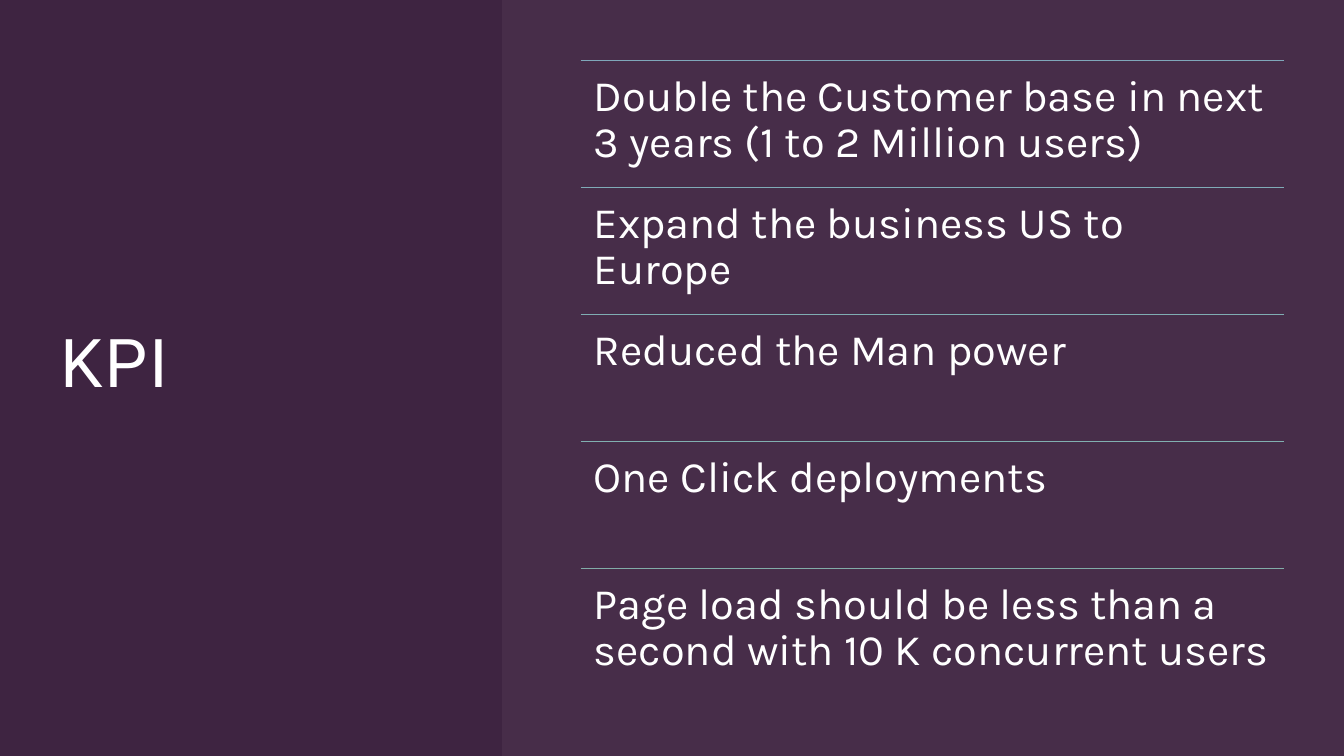
from lxml import etree
from pptx import Presentation
from pptx.dml.color import RGBColor
from pptx.enum.shapes import MSO_CONNECTOR, MSO_SHAPE
from pptx.enum.text import MSO_ANCHOR, MSO_AUTO_SIZE, PP_ALIGN
from pptx.oxml.ns import qn
from pptx.util import Inches, Pt

STRAIGHT = MSO_CONNECTOR.STRAIGHT
RECTANGLE = MSO_SHAPE.RECTANGLE
LEFT = PP_ALIGN.LEFT
MIDDLE, TOP = MSO_ANCHOR.MIDDLE, MSO_ANCHOR.TOP
NO_AUTOFIT = MSO_AUTO_SIZE.NONE

PLUM = "3E2441"
PALE = "EFE5F0"
WHITE = "FFFFFF"

SLIDE_W, SLIDE_H = Inches(13.33), Inches(7.5)
MARGIN = Inches(0.6)
PANEL_LEFT = Inches(4.98)
LIST_LEFT, LIST_W = Inches(5.76), Inches(6.97)
ROW_H = Inches(1.26)

GOALS = [
    ("Double the Customer base in next 3 years (1 to 2 Million users)", "7FA7BA"),
    ("Expand the business US to Europe", "80ABB7"),
    ("Reduced the Man power", "80ADB3"),
    ("One Click deployments", "81AFB0"),
    ("Page load should be less than a second with 10 K concurrent users", "82ACA8"),
]


def rgb(value):
    return RGBColor.from_string(value)


def set_text(frame, text, font, size, inset, anchor):
    frame.text = text
    frame.word_wrap = True
    frame.auto_size = NO_AUTOFIT
    frame.vertical_anchor = anchor
    frame.margin_left = frame.margin_right = inset
    frame.margin_top = frame.margin_bottom = inset
    paragraph = frame.paragraphs[0]
    paragraph.alignment = LEFT
    paragraph.line_spacing = 0.9
    run = paragraph.runs[0]
    run.font.name = font
    run.font.size = Pt(size)
    run.font.color.rgb = rgb(WHITE)
    return run


prs = Presentation()
prs.slide_width, prs.slide_height = SLIDE_W, SLIDE_H
slide = prs.slides.add_slide(prs.slide_layouts[5])
slide.background.fill.solid()
slide.background.fill.fore_color.rgb = rgb(PLUM)

heading = slide.shapes.title
heading.left, heading.top = MARGIN, MARGIN
heading.width, heading.height = Inches(3.9), Inches(6.06)
kpi = set_text(heading.text_frame, "KPI", "Roboto", 48, 0, MIDDLE)
kpi.font._element.set("spc", "160")

backdrop = slide.shapes.add_shape(RECTANGLE, 0, 0, SLIDE_W, SLIDE_H)
panel = slide.shapes.add_shape(RECTANGLE, PANEL_LEFT, 0, SLIDE_W - PANEL_LEFT, SLIDE_H)
for area, colour in ((backdrop, PLUM), (panel, PALE)):
    area.shadow.inherit = False
    area.fill.solid()
    area.fill.fore_color.rgb = rgb(colour)
    area.line.fill.background()
heading._element.addprevious(backdrop._element)
panel_colour = panel._element.spPr.find(".//" + qn("a:srgbClr"))
etree.SubElement(panel_colour, qn("a:alpha")).set("val", "5000")

goal_list = slide.shapes.add_group_shape()
for row, (goal, rule_colour) in enumerate(GOALS):
    top = MARGIN + row * ROW_H
    rule = goal_list.shapes.add_connector(STRAIGHT, LIST_LEFT, top, LIST_LEFT + LIST_W, top)
    rule.line.color.rgb = rgb(rule_colour)
    rule.line.width = Pt(1)
    etree.SubElement(rule._element.spPr, qn("a:effectLst"))
    entry = goal_list.shapes.add_textbox(LIST_LEFT, top, LIST_W, ROW_H)
    set_text(entry.text_frame, goal, "Karla", 31, Inches(0.13), TOP)

prs.save("out.pptx")
